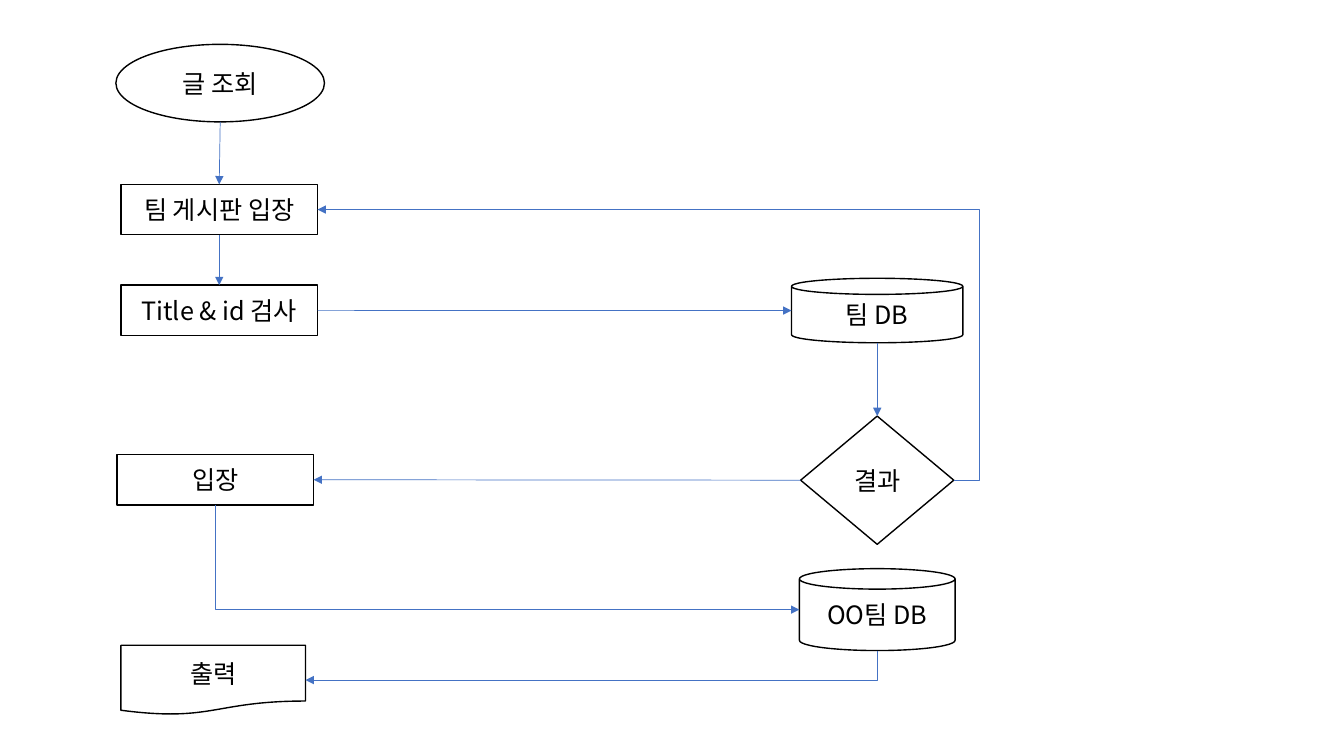
from lxml import etree
from pptx import Presentation
from pptx.dml.color import RGBColor
from pptx.enum.shapes import MSO_CONNECTOR, MSO_SHAPE
from pptx.enum.text import MSO_ANCHOR, PP_ALIGN
from pptx.oxml.ns import qn
from pptx.util import Pt

RECT, OVAL = MSO_SHAPE.RECTANGLE, MSO_SHAPE.OVAL
CAN, DIAMOND = MSO_SHAPE.CAN, MSO_SHAPE.DIAMOND
DOCUMENT = MSO_SHAPE.FLOWCHART_DOCUMENT
STRAIGHT, ELBOW = MSO_CONNECTOR.STRAIGHT, MSO_CONNECTOR.ELBOW
MIDDLE, CENTER = MSO_ANCHOR.MIDDLE, PP_ALIGN.CENTER

FONT = "Noto Sans CJK KR"
COLORS = {"paper": "FFFFFF", "ink": "000000", "arrow": "4472C4"}
SIDES = {"top": (0.5, 0), "left": (0, 0.5), "bottom": (0.5, 1), "right": (1, 0.5)}
SITES = {"top": 0, "left": 1, "bottom": 2, "right": 3}
SPECIAL_SITES = {
    OVAL: {"top": 0, "left": 2, "bottom": 4, "right": 6},
    CAN: {"top": 1, "left": 2, "bottom": 3, "right": 4},
}


def color(name):
    """Return the named palette colour."""
    return RGBColor.from_string(COLORS[name])


def add_step(slide, kind, box, label):
    """Draw one outlined flowchart step with a centred label."""
    step = slide.shapes.add_shape(kind, *(Pt(length) for length in box))
    step.shadow.inherit = False
    step.fill.solid()
    step.fill.fore_color.rgb = color("paper")
    step.line.color.rgb = color("ink")
    step.line.width = Pt(1)
    frame = step.text_frame
    frame.word_wrap = True
    frame.vertical_anchor = MIDDLE
    paragraph = frame.paragraphs[0]
    paragraph.alignment = CENTER
    run = paragraph.add_run()
    run.text = label
    run.font.size = Pt(18)
    run.font.name = FONT
    run.font.color.rgb = color("ink")
    etree.SubElement(run.font._element, qn("a:ea"), typeface=FONT)
    return step


def side_point(step, side):
    """Return the middle of one side of a step, in points."""
    across, down = SIDES[side]
    return (step.left + step.width * across) / Pt(1), (step.top + step.height * down) / Pt(1)


def add_arrow(slide, source, source_side, target, target_side, kind=STRAIGHT, ends=None):
    """Draw an arrow that is glued to the sides of two steps."""
    ends = ends or side_point(source, source_side) + side_point(target, target_side)
    arrow = slide.shapes.add_connector(kind, *(Pt(length) for length in ends))
    arrow.line.color.rgb = color("arrow")
    arrow.line.width = Pt(0.5)
    etree.SubElement(arrow.line._get_or_add_ln(), qn("a:tailEnd"), type="triangle")
    etree.SubElement(arrow._element.spPr, qn("a:effectLst"))
    glue = arrow._element.find(".//" + qn("p:cNvCxnSpPr"))
    for tag, step, side in (("a:stCxn", source, source_side), ("a:endCxn", target, target_side)):
        site = SPECIAL_SITES.get(step.auto_shape_type, SITES)[side]
        etree.SubElement(glue, qn(tag), id=str(step.shape_id), idx=str(site))
    return arrow


def add_corner_arrow(slide, source, target, target_side):
    """Draw an arrow that drops from a step and then turns sideways."""
    start_x, start_y = side_point(source, "bottom")
    end_x, end_y = side_point(target, target_side)
    middle_x, middle_y = (start_x + end_x) / 2, (start_y + end_y) / 2
    drop, reach = end_y - start_y, abs(end_x - start_x)
    turn = 1 if end_x > start_x else -1
    ends = (middle_x + turn * drop / 2, middle_y - reach / 2,
            middle_x - turn * drop / 2, middle_y + reach / 2)
    arrow = add_arrow(slide, source, "bottom", target, target_side, ELBOW, ends)
    properties = arrow._element.spPr
    properties.find(qn("a:prstGeom")).set("prst", "bentConnector2")
    degrees = 270 if turn > 0 else 90
    properties.find(qn("a:xfrm")).set("rot", str(degrees * 60000))


def add_return_arrow(slide, source, target, detour):
    """Draw an arrow that leaves to the right and loops back to a step."""
    arrow = add_arrow(slide, source, "right", target, "right", ELBOW)
    reach = (source.left + source.width - target.left - target.width) / Pt(1)
    guides = arrow._element.spPr.find(qn("a:prstGeom")).get_or_add_avLst()
    share = round(-detour / reach * 100000)
    etree.SubElement(guides, qn("a:gd"), name="adj1", fmla=f"val {share}")


def add_user_column(slide, x, y):
    """Draw the steps that the user sees, from the request to the output."""
    rows = {
        "request": (OVAL, 0, 0, 149, 55.4, "글 조회"),
        "board": (RECT, 3.6, 100, 140.4, 36, "팀 게시판 입장"),
        "check": (RECT, 3.6, 172, 140.4, 36, "Title & id 검사"),
        "entry": (RECT, 0.8, 293, 140.4, 36, "입장"),
        "output": (DOCUMENT, 3.6, 429.2, 131.8, 49.7, "출력"),
    }
    return {name: add_step(slide, kind, (x + left, y + top, width, height), label)
            for name, (kind, left, top, width, height, label) in rows.items()}


def add_database_column(slide, center, y):
    """Draw the databases and the decision on one centre line."""
    rows = {
        "team_db": (CAN, 0, 122.4, 46.1, "팀 DB"),
        "result": (DIAMOND, 98.4, 109.4, 91.6, "결과"),
        "own_team_db": (CAN, 207.4, 111.2, 58.5, "OO팀 DB"),
    }
    return {name: add_step(slide, kind, (center - width / 2, y + top, width, height), label)
            for name, (kind, top, width, height, label) in rows.items()}


def add_flow(slide, steps):
    """Join the steps of both columns with arrows."""
    links = (
        ("request", "bottom", "board", "top"),
        ("board", "bottom", "check", "top"),
        ("check", "right", "team_db", "left"),
        ("team_db", "bottom", "result", "top"),
        ("result", "left", "entry", "right"),
    )
    for source, source_side, target, target_side in links:
        add_arrow(slide, steps[source], source_side, steps[target], target_side)
    add_return_arrow(slide, steps["result"], steps["board"], 18)
    add_corner_arrow(slide, steps["entry"], steps["own_team_db"], "left")
    add_corner_arrow(slide, steps["own_team_db"], steps["output"], "right")


def main():
    """Build the post lookup flowchart and save it."""
    deck = Presentation()
    deck.slide_width, deck.slide_height = Pt(960), Pt(540)
    slide = deck.slides.add_slide(deck.slide_layouts[6])
    steps = add_user_column(slide, 82.8, 31.7)
    steps.update(add_database_column(slide, 626.6, 198.8))
    add_flow(slide, steps)
    deck.save("out.pptx")


main()
